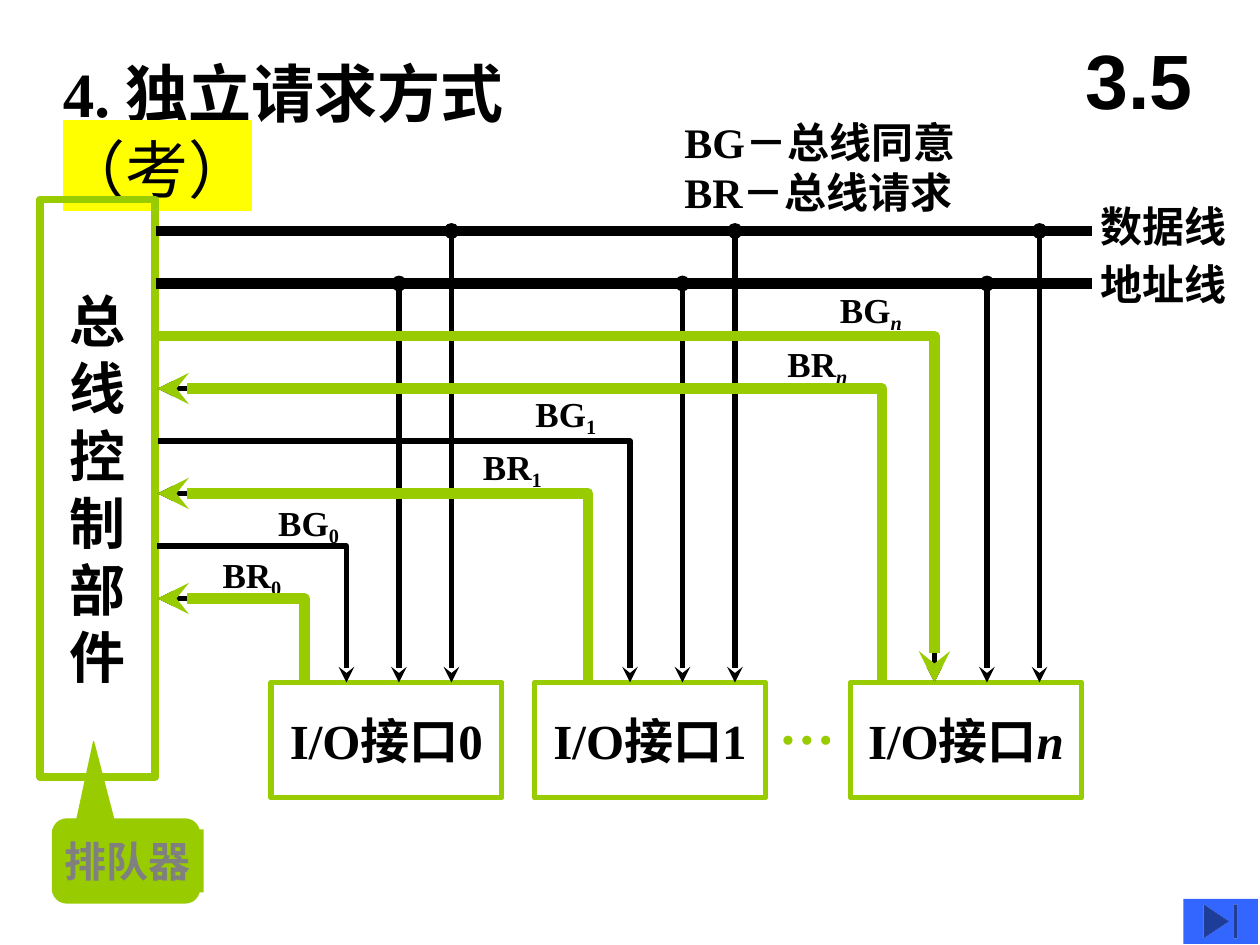
"""Build the slide on independent-request bus arbitration."""

from dataclasses import dataclass

import lxml.etree
import pptx
import pptx.dml.color
import pptx.enum.shapes
import pptx.enum.text
import pptx.oxml.ns
import pptx.util

PX = 7620
BLACK = pptx.dml.color.RGBColor(0x00, 0x00, 0x00)
GREEN = pptx.dml.color.RGBColor(0x99, 0xCC, 0x00)
GRAY = pptx.dml.color.RGBColor(0x80, 0x80, 0x80)
BLUE = pptx.dml.color.RGBColor(0x33, 0x66, 0xFF)
SERIF = "Times New Roman"
SANS = "Arial"
SHAPES = pptx.enum.shapes.MSO_SHAPE
ALIGN = pptx.enum.text.PP_ALIGN
ANCHOR = pptx.enum.text.MSO_ANCHOR

BUS_LEFT, BUS_RIGHT = 149, 1040
CONTROLLER_RIGHT = 150
DATA_Y, ADDRESS_Y, MODULE_TOP = 220, 270, 650


@dataclass(frozen=True)
class Box:
    left: int
    top: int
    width: int
    height: int

    def emu(self) -> list[int]:
        return [value * PX for value in (self.left, self.top, self.width, self.height)]


@dataclass(frozen=True)
class Piece:
    text: str
    italic: bool = False
    subscript: bool = False


@dataclass(frozen=True)
class Style:
    size: int
    font: str = SERIF
    color: pptx.dml.color.RGBColor = BLACK
    align: ALIGN = ALIGN.LEFT


@dataclass(frozen=True)
class Module:
    index: str
    left: int
    request_x: int
    grant_x: int
    data_x: int
    request_y: int
    request_label: tuple[int, int]
    grant_label: tuple[int, int]

    @property
    def italic(self) -> bool:
        return self.index == "n"

    def request_points(self) -> list[tuple[int, int]]:
        return elbow(self.request_x, self.request_y)

    def grant_points(self) -> list[tuple[int, int]]:
        return elbow(self.grant_x, self.request_y - 50)


def elbow(x: int, y: int) -> list[tuple[int, int]]:
    return [(CONTROLLER_RIGHT, y), (x, y), (x, MODULE_TOP)]


MODULES = [
    Module("0", 258, 290, 330, 430, 570, (212, 527), (265, 478)),
    Module("1", 509, 560, 600, 700, 470, (460, 424), (510, 374)),
    Module("n", 810, 840, 890, 990, 370, (750, 326), (800, 275)),
]


def write(shape, paragraphs: list[list[Piece]], style: Style, wrap: bool = False,
          anchor: ANCHOR = ANCHOR.TOP) -> None:
    frame = shape.text_frame
    frame.word_wrap = wrap
    frame.vertical_anchor = anchor
    for number, pieces in enumerate(paragraphs):
        paragraph = frame.add_paragraph() if number else frame.paragraphs[0]
        paragraph.alignment = style.align
        paragraph.font.size = pptx.util.Pt(style.size)
        paragraph.font.name = style.font
        paragraph.font.bold = True
        paragraph.font.color.rgb = style.color
        for piece in pieces:
            run = paragraph.add_run()
            run.text = piece.text
            if piece.italic:
                run.font.italic = True
            if piece.subscript:
                run._r.get_or_add_rPr().set("baseline", "-20000")


def add_text(slide, box: Box, paragraphs: list[list[Piece]], style: Style, wrap: bool = False,
             anchor: ANCHOR = ANCHOR.TOP):
    shape = slide.shapes.add_textbox(*box.emu())
    write(shape, paragraphs, style, wrap, anchor)
    return shape


def add_panel(slide, kind: SHAPES, box: Box, fill=None, line=None, width: float = 0):
    shape = slide.shapes.add_shape(kind, *box.emu())
    shape.shadow.inherit = False
    if fill is None:
        shape.fill.background()
    else:
        shape.fill.solid()
        shape.fill.fore_color.rgb = fill
    if line is None:
        shape.line.fill.background()
    else:
        shape.line.color.rgb = line
        shape.line.width = pptx.util.Pt(width)
    return shape


def style_line(shape, color: pptx.dml.color.RGBColor, width: int, head: str = "",
               tail: str = "") -> None:
    shape.line.color.rgb = color
    shape.line.width = pptx.util.Pt(width)
    outline = shape.line._get_or_add_ln()
    lxml.etree.SubElement(outline, pptx.oxml.ns.qn("a:round"))
    for tag, kind in (("a:headEnd", head), ("a:tailEnd", tail)):
        if kind:
            lxml.etree.SubElement(outline, pptx.oxml.ns.qn(tag), type=kind)


def add_line(slide, start: tuple[int, int], end: tuple[int, int], width: int, head: str = "",
             tail: str = "") -> None:
    straight = pptx.enum.shapes.MSO_CONNECTOR.STRAIGHT
    connector = slide.shapes.add_connector(straight, *(value * PX for value in start + end))
    style_line(connector, BLACK, width, head, tail)
    lxml.etree.SubElement(connector._element.spPr, pptx.oxml.ns.qn("a:effectLst"))


def add_wire(slide, points: list[tuple[int, int]], color: pptx.dml.color.RGBColor, width: int,
             head: str = "", tail: str = "") -> None:
    builder = slide.shapes.build_freeform(*points[0], scale=PX)
    builder.add_line_segments(points[1:], close=False)
    shape = builder.convert_to_shape()
    shape.shadow.inherit = False
    shape.fill.background()
    style_line(shape, color, width, head, tail)


def add_signal_label(slide, name: str, module: Module, position: tuple[int, int]) -> None:
    pieces = [Piece(name), Piece(module.index, module.italic, True)]
    frame = add_text(slide, Box(*position, 110, 40), [pieces], Style(20), wrap=True).text_frame
    frame.margin_left = frame.margin_top = frame.margin_right = frame.margin_bottom = 0


def add_title(slide) -> None:
    pieces = [Piece("4. 独立请求方式"), Piece("（考）")]
    title = add_text(slide, Box(48, 46, 552, 157), [pieces], Style(36), wrap=True)
    mark = title.text_frame.paragraphs[0].runs[1]
    mark.font.bold = False
    mark.font.color.rgb = BLACK
    highlight = lxml.etree.SubElement(mark._r.get_or_add_rPr(), pptx.oxml.ns.qn("a:highlight"))
    lxml.etree.SubElement(highlight, pptx.oxml.ns.qn("a:srgbClr"), val="FFFF00")
    mark.font.name = SANS


def add_diagram(slide) -> None:
    controller = add_panel(slide, SHAPES.RECTANGLE, Box(38, 190, 110, 550), line=GREEN, width=4.5)
    write(controller, [[Piece(letter)] for letter in "总线控制部件"],
          Style(32, align=ALIGN.CENTER), anchor=ANCHOR.MIDDLE)
    for name, bus_y, label_top in (("数据线", DATA_Y, 185), ("地址线", ADDRESS_Y, 240)):
        add_line(slide, (BUS_LEFT, bus_y), (BUS_RIGHT, bus_y), 6)
        add_text(slide, Box(1036, label_top, 144, 60), [[Piece(name)]], Style(24))
    for module in MODULES:
        panel = add_panel(slide, SHAPES.RECTANGLE, Box(module.left, MODULE_TOP, 220, 110),
                          line=GREEN, width=3)
        write(panel, [[Piece("I/O接口"), Piece(module.index, module.italic)]],
              Style(28, align=ALIGN.CENTER), anchor=ANCHOR.MIDDLE)
        add_wire(slide, module.request_points(), BLACK, 3, head="stealth")
        add_wire(slide, module.grant_points(), BLACK, 3, tail="stealth")
        add_signal_label(slide, "BR", module, module.request_label)
        add_signal_label(slide, "BG", module, module.grant_label)
        for x, y in ((module.data_x - 50, ADDRESS_Y), (module.data_x, DATA_Y)):
            add_line(slide, (x, y), (x, MODULE_TOP), 3, "oval", "stealth")
    add_text(slide, Box(730, 650, 78, 76), [[Piece("…")]], Style(32, color=GREEN))
    add_text(slide, Box(640, 105, 310, 108), [[Piece("BG－总线同意")], [Piece("BR－总线请求")]],
             Style(24), wrap=True)
    for module in MODULES:
        add_wire(slide, module.request_points(), GREEN, 6, head="stealth")
    add_wire(slide, MODULES[-1].grant_points(), GREEN, 6, tail="stealth")


def add_queue_callout(slide) -> None:
    callout = add_panel(slide, SHAPES.ROUNDED_RECTANGULAR_CALLOUT, Box(50, 780, 140, 80),
                        GREEN, GREEN, 0.75)
    for number, value in enumerate((-0.22, -1.42, 0.17)):
        callout.adjustments[number] = value
    label = add_panel(slide, SHAPES.RECTANGLE, Box(50, 790, 144, 60), GREEN)
    write(label, [[Piece("排队器")]], Style(24, color=GRAY))


def main() -> None:
    presentation = pptx.Presentation()
    presentation.slide_width = 1200 * PX
    presentation.slide_height = 900 * PX
    slide = presentation.slides.add_slide(presentation.slide_layouts[6])
    add_queue_callout(slide)
    add_title(slide)
    add_diagram(slide)
    add_text(slide, Box(1010, 20, 150, 110), [[Piece("3.5")]],
             Style(44, SANS, align=ALIGN.CENTER), wrap=True, anchor=ANCHOR.MIDDLE)
    add_panel(slide, SHAPES.ACTION_BUTTON_END, Box(1127, 856, 71, 43), BLUE)
    presentation.save("out.pptx")


if __name__ == "__main__":
    main()
